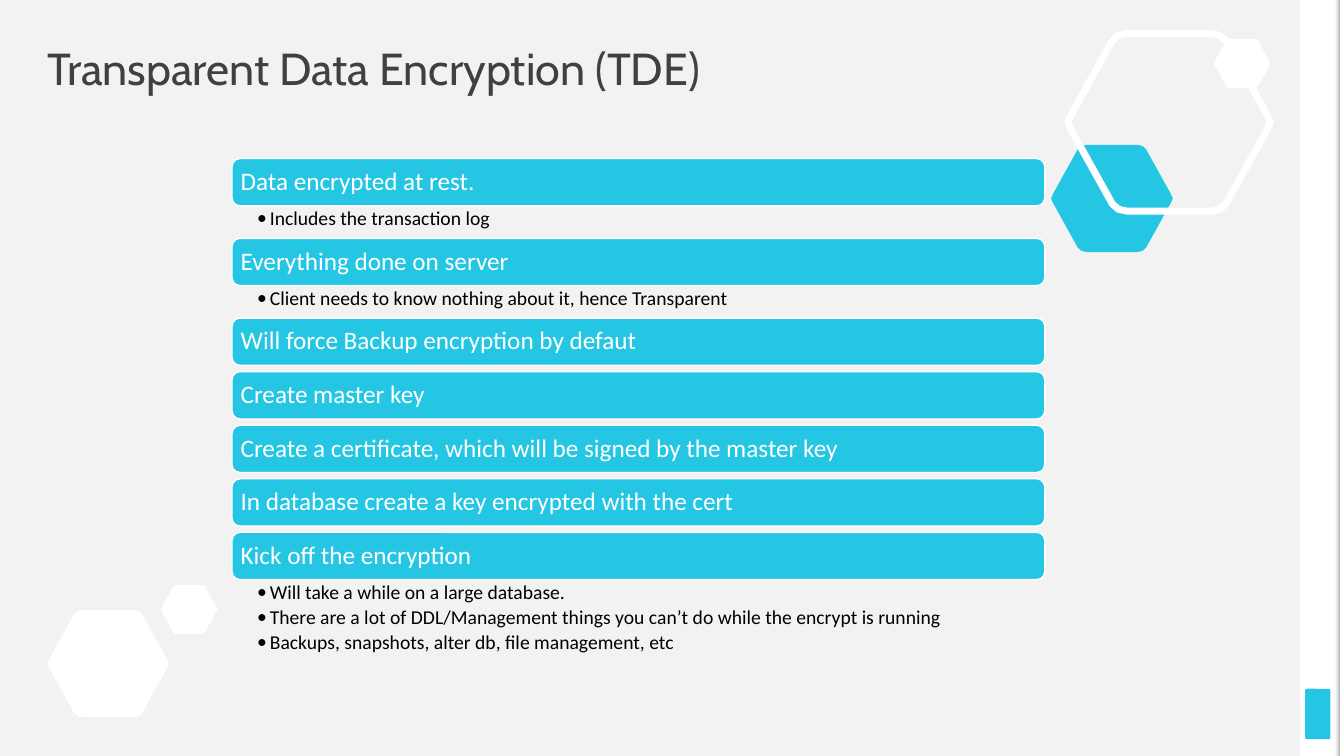
import pptx
import pptx.util
import pptx.dml.color
import pptx.enum.shapes
import pptx.enum.text
import pptx.oxml.ns
from lxml import etree

PX = pptx.util.Inches(1) // 96
CYAN, WHITE, PALE, GREY = "25C6E3", "FFFFFF", "F2F2F2", "A6A6A6"
SHAPES = pptx.enum.shapes.MSO_SHAPE
ANCHOR = pptx.enum.text.MSO_ANCHOR

TOPICS = [
    ("Data encrypted at rest.", ["Includes the transaction log"]),
    ("Everything done on server",
     ["Client needs to know nothing about it, hence Transparent"]),
    ("Will force Backup encryption by defaut", []),
    ("Create master key", []),
    ("Create a certificate, which will be signed by the master key", []),
    ("In database create a key encrypted with the cert", []),
    ("Kick off the encryption",
     ["Will take a while on a large database.",
      "There are a lot of DDL/Management things you can’t do while the encrypt is running",
      "Backups, snapshots, alter db, file management, etc"]),
]

# Blunted corners of the right half, clockwise, as shares of the box
RIGHT_HALF = [(0.71, 0), (0.75, 0.01), (0.78, 0.04),
              (0.98, 0.45), (1, 0.5), (0.98, 0.55),
              (0.78, 0.96), (0.75, 0.99), (0.71, 1)]
HEXAGON = RIGHT_HALF + [(1 - x, 1 - y) for x, y in RIGHT_HALF]


def rgb(value):
    return pptx.dml.color.RGBColor.from_string(value)


def px(*lengths):
    return [length * PX for length in lengths]


def paint(shape, fill=None, line=None, weight=1):
    """Set fill and outline, either of which may be absent."""
    shape.shadow.inherit = False
    if fill:
        shape.fill.solid()
        shape.fill.fore_color.rgb = rgb(fill)
    else:
        shape.fill.background()
    if line:
        shape.line.color.rgb = rgb(line)
        shape.line.width = pptx.util.Pt(weight)
    else:
        shape.line.fill.background()


def write(frame, *lines, size, color, font="Calibri", insets=(0, 0, 0, 0),
          anchor=ANCHOR.MIDDLE, after=0, bullet_indent=0):
    """Fill a text frame with one paragraph per line."""
    frame.word_wrap = True
    frame.auto_size = pptx.enum.text.MSO_AUTO_SIZE.NONE
    frame.vertical_anchor = anchor
    (frame.margin_left, frame.margin_top,
     frame.margin_right, frame.margin_bottom) = px(*insets)
    for index, line in enumerate(lines):
        paragraph = frame.add_paragraph() if index else frame.paragraphs[0]
        paragraph.alignment = pptx.enum.text.PP_ALIGN.LEFT
        paragraph.line_spacing = 0.9
        paragraph.space_before = pptx.util.Pt(0)
        paragraph.space_after = pptx.util.Pt(after)
        run = paragraph.add_run()
        run.text = line
        run.font.name = font
        run.font.size = pptx.util.Pt(size)
        run.font.color.rgb = rgb(color)
        if bullet_indent:
            properties = paragraph._p.get_or_add_pPr()
            properties.set("marL", str(bullet_indent * PX))
            properties.set("indent", str(-bullet_indent * PX))
            for tag, key, value in (("a:buFont", "typeface", font),
                                    ("a:buChar", "char", "•")):
                etree.SubElement(properties, pptx.oxml.ns.qn(tag)).set(key, value)


def add_block(slide, kind, box, **look):
    block = slide.shapes.add_shape(kind, *px(*box))
    paint(block, **look)
    return block


def add_hexagon(slide, box, **look):
    """Draw a hexagon with blunted corners that fills the box."""
    left, top, width, height = px(*box)
    points = [(left + x * width, top + y * height) for x, y in HEXAGON]
    builder = slide.shapes.build_freeform(*points[0])
    builder.add_line_segments(points[1:], close=True)
    paint(builder.convert_to_shape(), **look)


def add_sidebar(slide, left, top, width, height):
    add_block(slide, SHAPES.RECTANGLE, (left, top, width, height), fill=WHITE)
    marker = add_block(slide, SHAPES.ROUNDED_RECTANGLE,
                       (left + 5, top + 656, 24, 48), fill=CYAN)
    marker.adjustments[0] = 0.074
    add_block(slide, SHAPES.RECTANGLE, (left + 37, top, 5, height), fill=WHITE)
    shade = add_block(slide, SHAPES.RECTANGLE, (left + 33, top, 5, height))
    shade.fill.gradient()
    shade.fill.gradient_angle = 0
    for stop, color in zip(shade.fill.gradient_stops, (PALE, GREY)):
        stop.color.rgb = rgb(color)
    clear_color = next(shade._element.spPr.iter(pptx.oxml.ns.qn("a:srgbClr")))
    etree.SubElement(clear_color, pptx.oxml.ns.qn("a:alpha")).set("val", "0")


def add_hexagon_clusters(slide):
    add_hexagon(slide, (45, 581, 116, 102), fill=WHITE)
    add_hexagon(slide, (1001, 138, 116, 102), fill=CYAN)
    add_hexagon(slide, (1017, 32, 193, 169), line=WHITE, weight=5)
    add_hexagon(slide, (153, 557, 54, 47), fill=WHITE)
    add_hexagon(slide, (1156, 37, 54, 47), fill=WHITE)


def add_title(slide, *box):
    title = slide.shapes.title
    title.left, title.top, title.width, title.height = px(*box)
    write(title.text_frame, "Transparent Data Encryption (TDE)",
          size=32, color="404040", font="Cabin")


def add_topics(slide, left, top, width):
    """Stack the topic bars, each followed by its notes or by a small gap."""
    bar_height, gap, note_height, note_pitch = 45, 6, 31, 23
    for topic, notes in TOPICS:
        bar = add_block(slide, SHAPES.ROUNDED_RECTANGLE,
                        (left, top, width, bar_height), fill=CYAN, line=WHITE)
        write(bar.text_frame, topic, size=18, color=WHITE, insets=(6, 7, 6, 7))
        top += bar_height
        if notes:
            height = note_height + note_pitch * (len(notes) - 1)
            details = slide.shapes.add_textbox(*px(left, top, width, height))
            write(details.text_frame, *notes, size=14, color="000000",
                  insets=(24, 3, 13, 3), anchor=ANCHOR.TOP, after=2.5,
                  bullet_indent=12)
            top += height
        else:
            top += gap


def main():
    deck = pptx.Presentation()
    deck.slide_width, deck.slide_height = px(1280, 720)
    slide = deck.slides.add_slide(deck.slide_layouts.get_by_name("Title Only"))
    slide.background.fill.solid()
    slide.background.fill.fore_color.rgb = rgb(PALE)
    add_sidebar(slide, 1238, 0, 38, 720)
    add_hexagon_clusters(slide)
    add_title(slide, 45, 45, 1189, 45)
    add_topics(slide, 221, 151, 774)
    deck.save("out.pptx")


if __name__ == "__main__":
    main()
